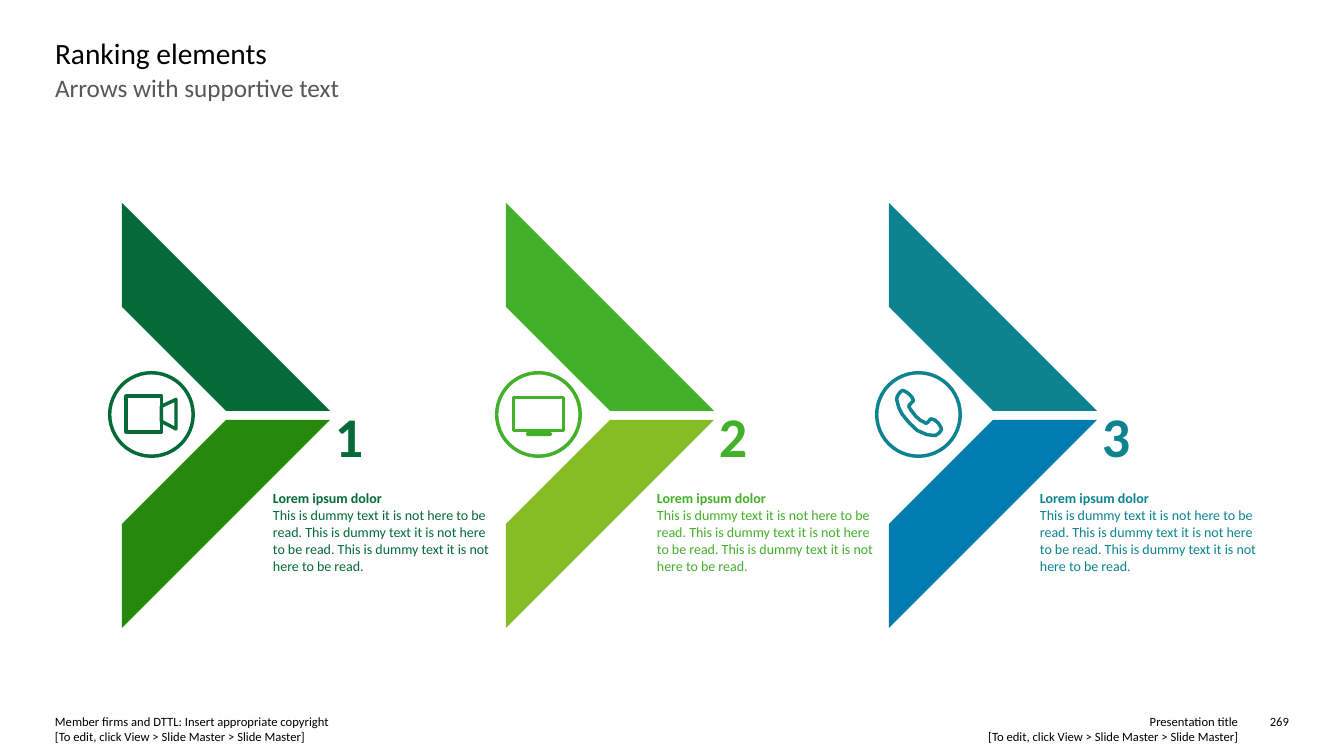
from lxml import etree
from pptx import Presentation
from pptx.dml.color import RGBColor
from pptx.enum.shapes import MSO_SHAPE
from pptx.enum.text import MSO_ANCHOR, MSO_AUTO_SIZE, PP_ALIGN
from pptx.oxml.ns import qn
from pptx.util import Emu, Pt

EMU_PER_PX = 914400 / 100.8
TITLE_AND_CONTENT = 1
LEFT, RIGHT = PP_ALIGN.LEFT, PP_ALIGN.RIGHT
TOP = MSO_ANCHOR.TOP
NO_AUTOFIT = MSO_AUTO_SIZE.NONE
STRIPE, RING, PILL = MSO_SHAPE.DIAGONAL_STRIPE, MSO_SHAPE.DONUT, MSO_SHAPE.ROUNDED_RECTANGLE

FONT = "Calibri"
COLORS = {
    "black": "000000", "grey": "575757",
    "dark green": "046A38", "leaf": "26890D",
    "green": "43B02A", "lime": "86BC25",
    "teal": "0D8390", "blue": "007CB0",
}

# Icon outlines in tenths of a px, measured from the corner of their ring
CAMERA = [
    [(181, 252), (534, 252), (534, 610), (181, 610)],
    [(534, 353), (680, 285), (680, 580), (534, 504)],
]
SCREEN = [[(186, 267), (685, 267), (685, 595), (186, 595)]]
PHONE = [[
    (277, 194), (307, 207), (343, 232), (373, 267), (385, 297), (343, 343),
    (340, 360), (358, 388), (408, 454), (454, 494), (484, 509), (509, 522),
    (519, 522), (559, 479), (600, 492), (635, 524), (660, 564), (665, 587),
    (650, 610), (635, 627), (605, 645), (575, 645), (514, 635), (423, 595),
    (343, 519), (272, 433), (237, 363), (218, 287), (222, 257), (237, 232),
    (257, 207),
]]

# Stripe left, ring left, upper colour, lower colour, icon
RANKS = [
    (122, 108, "dark green", "leaf", CAMERA),
    (506, 495, "green", "lime", SCREEN),
    (889, 875, "teal", "blue", PHONE),
]
RING_TOP, RING_SIZE = 371, 87
STRIPE_SIZE = 208
HEADING = "Lorem ipsum dolor"
DUMMY = " ".join(["This is dummy text it is not here to be read."] * 3)
EDIT_HINT = "[To edit, click View > Slide Master > Slide Master]"


def px(value):
    return Emu(round(value * EMU_PER_PX))


def rgb(name):
    return RGBColor.from_string(COLORS[name])


class SlideBuilder:
    def __init__(self, presentation):
        layout = presentation.slide_layouts[TITLE_AND_CONTENT]
        self.slide = presentation.slides.add_slide(layout)
        self.shapes = self.slide.shapes

    def fill_frame(self, frame, lines, size, color, align=LEFT, margin=0):
        """Fill a frame with one paragraph per (text, bold) pair."""
        frame.word_wrap = True
        frame.auto_size = NO_AUTOFIT
        frame.vertical_anchor = TOP
        frame.margin_left = frame.margin_right = px(margin)
        frame.margin_top = frame.margin_bottom = px(margin)
        for index, (text, bold) in enumerate(lines):
            paragraph = frame.add_paragraph() if index else frame.paragraphs[0]
            paragraph.alignment = align
            paragraph.space_before = Pt(0)
            for number, part in enumerate(text.split("\n")):
                if number:
                    paragraph.add_line_break()
                run = paragraph.add_run()
                run.text = part
                run.font.name = FONT
                run.font.size = Pt(size)
                run.font.bold = bold
                run.font.color.rgb = rgb(color)

    def placeholder(self, index, box, text, size, color):
        shape = self.slide.placeholders[index]
        shape.left, shape.top, shape.width, shape.height = map(px, box)
        self.fill_frame(shape.text_frame, [(text, False)], size, color)
        properties = shape.text_frame.paragraphs[0]._p.get_or_add_pPr()
        properties.set("marL", "0")
        properties.set("indent", "0")
        etree.SubElement(properties, qn("a:buNone"))

    def text(self, box, lines, size, color, align=LEFT, margin=0):
        shape = self.shapes.add_textbox(*map(px, box))
        self.fill_frame(shape.text_frame, lines, size, color, align, margin)

    def preset(self, kind, box, color):
        shape = self.shapes.add_shape(kind, *map(px, box))
        shape.shadow.inherit = False
        shape.fill.solid()
        shape.fill.fore_color.rgb = rgb(color)
        shape.line.fill.background()
        return shape

    def stripe(self, left, top, color, flipped=False):
        shape = self.preset(STRIPE, (left, top, STRIPE_SIZE, STRIPE_SIZE), color)
        if flipped:
            shape._element.spPr.xfrm.set("flipV", "1")

    def icon(self, left, contours, color):
        ring = self.preset(RING, (left, RING_TOP, RING_SIZE, RING_SIZE), color)
        ring.adjustments[0] = 0.04
        start, *rest = contours[0]
        builder = self.shapes.build_freeform(*start, scale=EMU_PER_PX / 10)
        builder.add_line_segments(rest, close=True)
        for start, *rest in contours[1:]:
            builder.move_to(*start)
            builder.add_line_segments(rest, close=True)
        outline = builder.convert_to_shape(px(left), px(RING_TOP))
        outline.shadow.inherit = False
        outline.fill.background()
        outline.line.color.rgb = rgb(color)
        outline.line.width = Pt(2.5)
        etree.SubElement(outline.line._get_or_add_ln(), qn("a:round"))


def main():
    presentation = Presentation()
    presentation.slide_width = px(1344)
    presentation.slide_height = px(756)
    builder = SlideBuilder(presentation)

    builder.placeholder(0, (55, 35, 1234, 37), "Ranking elements", 21, "black")
    builder.placeholder(1, (55, 72, 1234, 84), "Arrows with supportive text", 18, "grey")

    for rank, (left, ring_left, upper, lower, contours) in enumerate(RANKS, 1):
        builder.stripe(left, 420, lower)
        builder.stripe(left, 203, upper, flipped=True)
        builder.icon(ring_left, contours, upper)
        builder.text((left + 209, 398, 53, 95), [(str(rank), True)], 40, upper, margin=4)
        builder.text((left + 151, 490, 226, 127), [(HEADING, True), (DUMMY, False)], 10, upper)
    screen_foot = builder.preset(PILL, (526, 432, 26, 4), "green")
    screen_foot.adjustments[0] = 0.5

    copyright_line = "Member firms and DTTL: Insert appropriate copyright\n" + EDIT_HINT
    footers = [
        ((55, 714, 591, 30), copyright_line, LEFT),
        ((699, 714, 539, 30), "Presentation title\n" + EDIT_HINT, RIGHT),
        ((1255, 714, 34, 15), "269", RIGHT),
    ]
    for box, text, align in footers:
        builder.text(box, [(text, False)], 9, "black", align)

    presentation.save("out.pptx")


if __name__ == "__main__":
    main()
